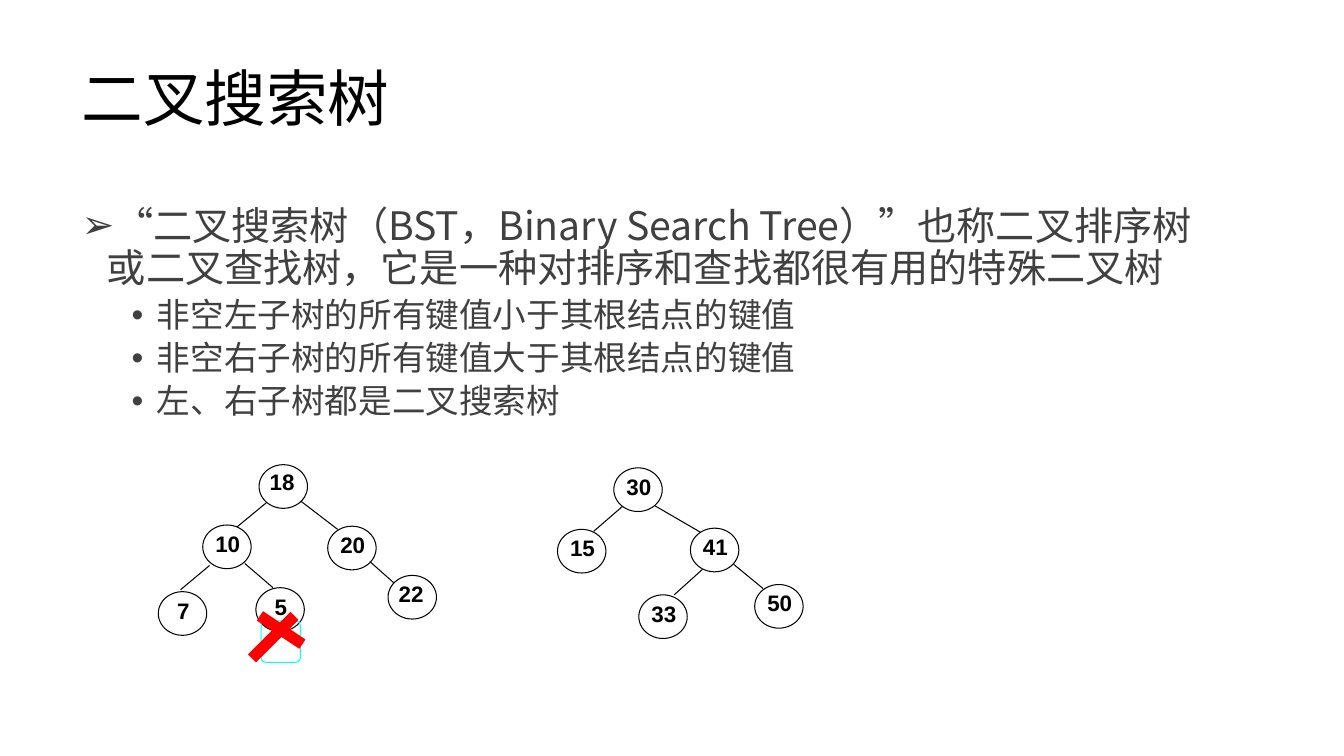
from lxml.etree import SubElement
from pptx import Presentation
from pptx.dml.color import RGBColor
from pptx.enum.shapes import MSO_CONNECTOR, MSO_SHAPE
from pptx.enum.text import MSO_ANCHOR, MSO_AUTO_SIZE, PP_ALIGN
from pptx.oxml.ns import qn
from pptx.util import Cm, Pt

BLACK = RGBColor(0x00, 0x00, 0x00)
WHITE = RGBColor(0xFF, 0xFF, 0xFF)
GREY = RGBColor(0x40, 0x40, 0x40)
RED = RGBColor(0xFF, 0x00, 0x00)
CYAN = RGBColor(0x00, 0xFF, 0xFF)
LATIN, CJK = "Arial", "Noto Sans CJK SC"

TITLE = "二叉搜索树"
DEFINITION = ("“二叉搜索树（BST，Binary Search Tree）”也称二叉排序树或二叉查找树，"
              "它是一种对排序和查找都很有用的特殊二叉树")
RULES = ["非空左子树的所有键值小于其根结点的键值",
         "非空右子树的所有键值大于其根结点的键值",
         "左、右子树都是二叉搜索树"]

# All positions below are in centimetres.
NODE_SIZE = (1.22, 1.1)
KEY_SIZE = (0.66, 0.64)
KEY_OFFSET = (0.3, 0.17)
KEY_SPACING = 0.96
INVALID_NODES = {"18": (6.53, 11.71), "10": (5.11, 13.23), "5": (6.45, 14.81),
                 "20": (8.26, 13.26), "7": (3.99, 14.91), "22": (9.78, 14.5)}
INVALID_EDGES = [(6.71, 12.67, 5.97, 13.28), (5.28, 14.25, 4.55, 14.86),
                 (6.17, 14.2, 6.88, 14.81), (7.57, 12.62, 8.51, 13.34),
                 (9.32, 14.15, 10.03, 14.78)]
VALID_NODES = {"30": (15.47, 11.79), "15": (14.05, 13.34), "41": (17.4, 13.31),
               "33": (16.1, 14.99), "50": (19.02, 14.73)}
VALID_EDGES = [(16.48, 12.73, 17.65, 13.41), (17.7, 14.35, 16.99, 14.99),
               (18.49, 14.22, 19.23, 14.83), (15.7, 12.75, 14.96, 13.39)]
KEY_EXCEPTIONS = {"18": ((0.25, 0.13), 0.96), "22": ((0.25, 0.3), 0.72)}
CROSS_STROKES = [(6.55, 15.52, 7.62, 16.23), (6.35, 16.59, 7.42, 15.52)]


class TreeSlide:
    """Holds the slide and the style of its elements."""

    def __init__(self, slide):
        self.slide = slide

    def place(self, placeholder, left, top, width, height):
        placeholder.left, placeholder.top = Cm(left), Cm(top)
        placeholder.width, placeholder.height = Cm(width), Cm(height)
        frame = placeholder.text_frame
        frame.word_wrap = True
        frame.auto_size = MSO_AUTO_SIZE.NONE
        return frame

    def add_text(self, paragraph, text, size, color, font=LATIN, bold=False):
        run = paragraph.add_run()
        run.text = text
        run.font.size, run.font.bold = Pt(size), bold
        run.font.color.rgb = color
        run.font.name = font
        SubElement(run.font._element, qn("a:ea")).set("typeface", CJK)

    def title(self, text):
        frame = self.place(self.slide.shapes.title, 1.8, 0.71, 29.21, 3.68)
        frame.vertical_anchor = MSO_ANCHOR.MIDDLE
        heading = frame.paragraphs[0]
        heading.alignment = PP_ALIGN.LEFT
        heading.line_spacing = 0.9
        self.add_text(heading, text, 44, BLACK)

    def body(self, definition, rules):
        frame = self.place(self.slide.placeholders[1], 1.8, 5.08, 29.21, 12.09)
        self.bullet(frame.paragraphs[0], definition, 0, "➢", 0.64, 28, 0)
        for rule in rules:
            self.bullet(frame.add_paragraph(), rule, 1, "•", 1.9, 24, 5)

    def bullet(self, paragraph, text, level, mark, indent, size, space_before):
        paragraph.level = level
        properties = paragraph._p.get_or_add_pPr()
        properties.set("marL", str(Cm(indent)))
        properties.set("indent", str(Cm(-0.64)))
        SubElement(properties, qn("a:buFont")).set("typeface", LATIN)
        SubElement(properties, qn("a:buChar")).set("char", mark)
        paragraph.line_spacing = 0.9
        paragraph.space_before = Pt(space_before)
        self.add_text(paragraph, text, size, GREY, CJK)

    def shape(self, group, kind, position, size, fill=None, line=None):
        shape = group.shapes.add_shape(kind, *map(Cm, position + size))
        shape.shadow.inherit = False
        if fill is None:
            shape.fill.background()
        else:
            shape.fill.solid()
            shape.fill.fore_color.rgb = fill
        if line is None:
            shape.line.fill.background()
        else:
            shape.line.color.rgb = line
            shape.line.width = Pt(0.75)
        return shape

    def line(self, group, ends, color=BLACK, width=0.75):
        line = group.shapes.add_connector(MSO_CONNECTOR.STRAIGHT, *map(Cm, ends))
        line.line.color.rgb = color
        line.line.width = Pt(width)
        SubElement(line._element.spPr, qn("a:effectLst"))

    def node(self, group, key, position):
        self.shape(group, MSO_SHAPE.OVAL, position, NODE_SIZE, WHITE, BLACK)
        (dx, dy), spacing = KEY_EXCEPTIONS.get(key, (KEY_OFFSET, KEY_SPACING))
        corner = (position[0] + dx, position[1] + dy)
        label = self.shape(group, MSO_SHAPE.RECTANGLE, corner, KEY_SIZE, WHITE)
        frame = label.text_frame
        frame.margin_left = frame.margin_right = 0
        frame.margin_top = frame.margin_bottom = 0
        frame.vertical_anchor = MSO_ANCHOR.TOP
        paragraph = frame.paragraphs[0]
        paragraph.alignment = PP_ALIGN.CENTER
        paragraph.line_spacing = spacing
        self.add_text(paragraph, key, 16, BLACK, bold=True)

    def tree(self, nodes, edges):
        group = self.slide.shapes.add_group_shape()
        for ends in edges:
            self.line(group, ends)
        for key, position in nodes.items():
            self.node(group, key, position)

    def cross(self, strokes):
        group = self.slide.shapes.add_group_shape()
        frame = self.shape(group, MSO_SHAPE.ROUNDED_RECTANGLE,
                           (6.58, 15.65), (0.99, 1.04), line=CYAN)
        frame.adjustments[0] = 0.12
        for ends in strokes:
            self.line(group, ends, RED, 8)


def main():
    deck = Presentation()
    deck.slide_width, deck.slide_height = Cm(33.87), Cm(19.05)
    page = TreeSlide(deck.slides.add_slide(deck.slide_layouts[1]))
    page.title(TITLE)
    page.body(DEFINITION, RULES)
    page.tree(INVALID_NODES, INVALID_EDGES)
    page.cross(CROSS_STROKES)
    page.tree(VALID_NODES, VALID_EDGES)
    deck.save("out.pptx")


if __name__ == "__main__":
    main()
